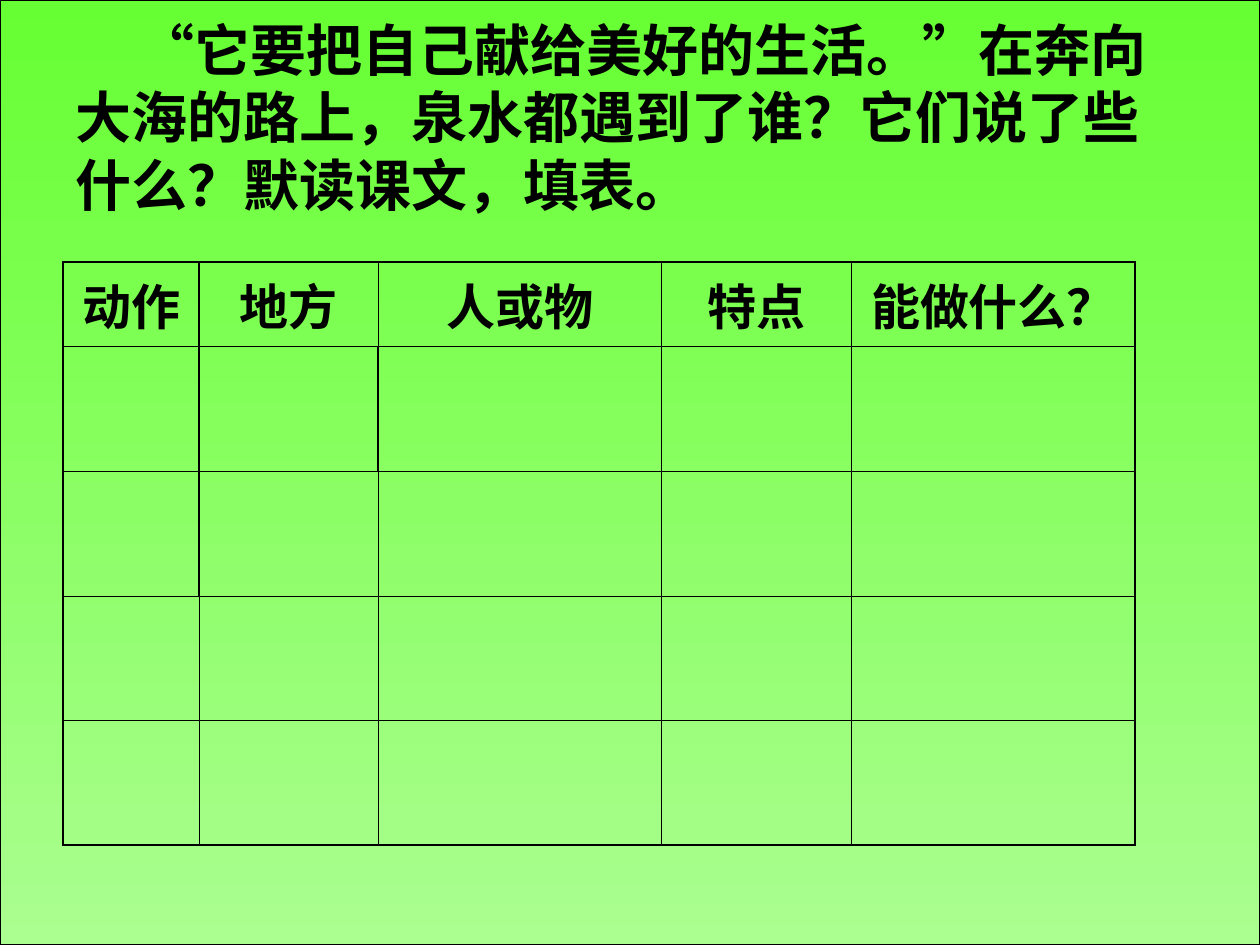
import pptx
import pptx.util
import pptx.dml.color
import pptx.enum.shapes
import pptx.enum.text
import pptx.oxml
import pptx.oxml.ns

Inches = pptx.util.Inches
Pt = pptx.util.Pt


def color(code):
    return pptx.dml.color.RGBColor.from_string(code)


def write(frame, text, size, align):
    frame.word_wrap = True
    frame.vertical_anchor = pptx.enum.text.MSO_ANCHOR.MIDDLE
    para = frame.paragraphs[0]
    para.alignment = align
    run = para.add_run()
    run.text = text
    look = {"name": "Arial", "size": Pt(size), "bold": True}
    for key, value in look.items():
        setattr(run.font, key, value)
    run.font.color.rgb = color("000000")
    return para


deck = pptx.Presentation()
deck.slide_width = Inches(10)
deck.slide_height = Inches(7.5)
slide = deck.slides.add_slide(deck.slide_layouts[6])

# Green backdrop, fading downward
back = slide.shapes.add_shape(
    pptx.enum.shapes.MSO_SHAPE.RECTANGLE, 0, 0, Inches(10), Inches(7.5))
back.shadow.inherit = False
back.fill.gradient()
back.fill.gradient_angle = 270
for stop, code, place in zip(back.fill.gradient_stops, ("66FF33", "ABFE90"), (0, 1)):
    stop.color.rgb = color(code)
    stop.position = place
back.line.color.rgb = color("000000")
back.line.width = Pt(0.75)

# Question, with its first line indented
title = slide.shapes.add_textbox(Inches(0.5), Inches(0.3), Inches(9), Inches(1.25))
para = write(
    title.text_frame,
    "“它要把自己献给美好的生活。”在奔向大海的路上，泉水都遇到了谁？它们说了些什么？默读课文，填表。",
    32, pptx.enum.text.PP_ALIGN.LEFT)
para._p.get_or_add_pPr().set("indent", str(Inches(0.5)))

# Table to fill in
heads = ["动作", "地方", "人或物", "特点", "能做什么？"]
wides = [1.08, 1.42, 2.25, 1.51, 2.25]
highs = [0.67] + [0.99] * 4
frame = slide.shapes.add_table(
    len(highs), len(wides), Inches(0.5), Inches(2.08),
    Inches(sum(wides)), Inches(sum(highs)))
table = frame.table
table.first_row = False
table.horz_banding = False
for col, wide in zip(table.columns, wides):
    col.width = Inches(wide)
for row, high in zip(table.rows, highs):
    row.height = Inches(high)
for cell, head in zip(table.rows[0].cells, heads):
    write(cell.text_frame, head, 28, pptx.enum.text.PP_ALIGN.CENTER)

# Cell borders: heavy outside and on a few inner edges (row, edge)
thick = {(0, 1), (1, 1), (2, 1), (1, 2)}
for r in range(len(highs)):
    for c in range(len(wides)):
        cell = table.cell(r, c)
        cell.fill.background()
        heavy = {
            "lnL": c == 0 or (r, c) in thick,
            "lnR": c == len(wides) - 1 or (r, c + 1) in thick,
            "lnT": r == 0,
            "lnB": r == len(highs) - 1,
        }
        props = cell._tc.get_or_add_tcPr()
        for spot, (tag, bold) in enumerate(heavy.items()):
            width = Pt(1.08 if bold else 0.45)
            props.insert(spot, pptx.oxml.parse_xml(
                f'<a:{tag} {pptx.oxml.ns.nsdecls("a")} w="{width}">'
                '<a:solidFill><a:srgbClr val="000000"/></a:solidFill>'
                f'</a:{tag}>'))

deck.save("out.pptx")
